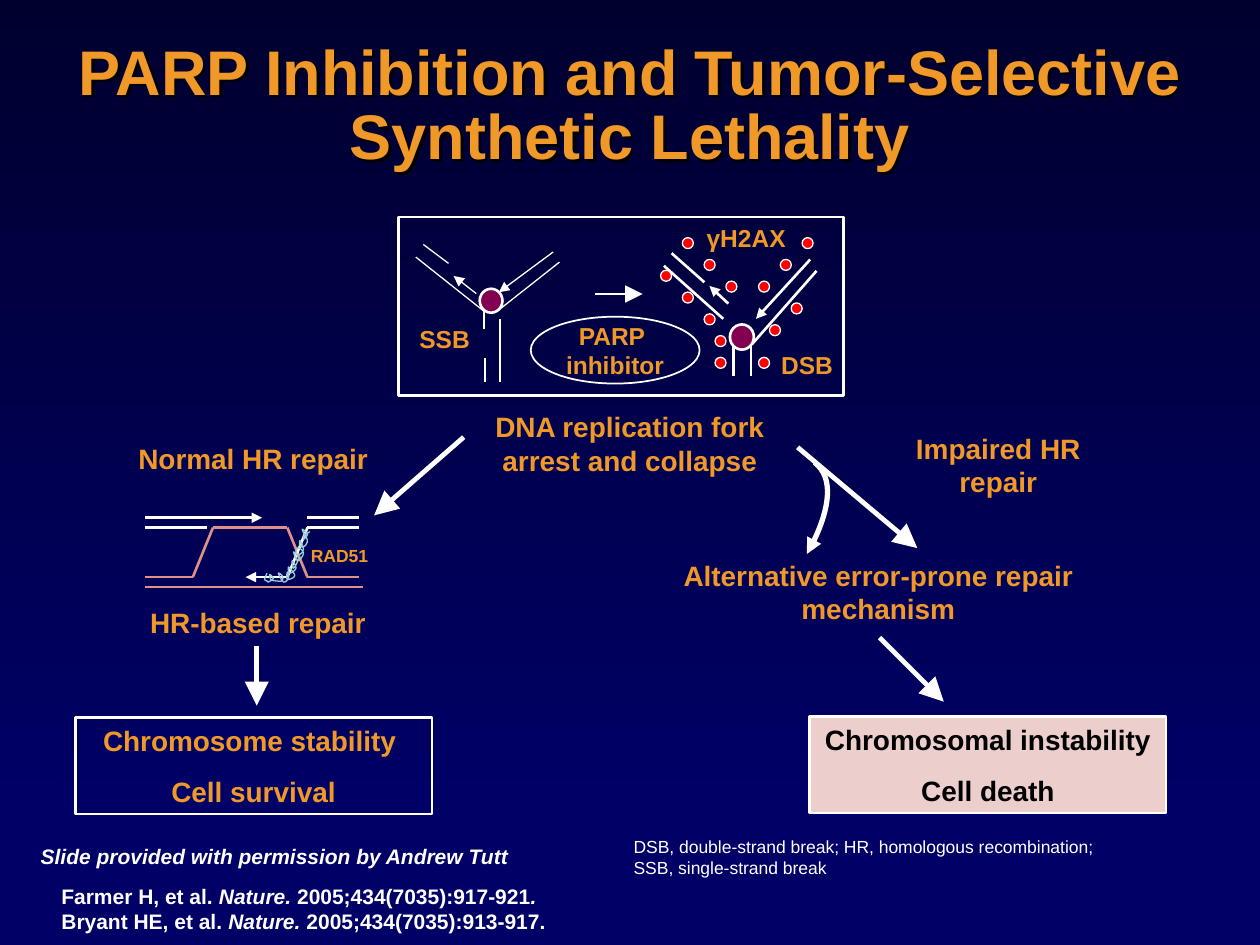
from lxml.etree import SubElement
from pptx import Presentation
from pptx.dml.color import RGBColor
from pptx.enum.shapes import MSO_CONNECTOR as Link, MSO_SHAPE as Preset
from pptx.enum.text import MSO_ANCHOR as Anchor, MSO_AUTO_SIZE as Fit, PP_ALIGN as Align
from pptx.oxml.ns import qn
from pptx.util import Pt

NIGHT = RGBColor(0x00, 0x00, 0x2F)
NAVY = RGBColor(0x00, 0x00, 0x66)
ORANGE = RGBColor(0xF0, 0x98, 0x28)
WHITE = RGBColor(0xFF, 0xFF, 0xFF)
BLACK = RGBColor(0x00, 0x00, 0x00)
PLUM = RGBColor(0x83, 0x00, 0x51)
RED = RGBColor(0xFF, 0x00, 0x00)
SALMON = RGBColor(0xDF, 0x91, 0x89)
AQUA = RGBColor(0x99, 0xD0, 0xD7)
BLUSH = RGBColor(0xEC, 0xCE, 0xCD)

TITLE = "PARP Inhibition and Tumor-Selective Synthetic Lethality"
TITLE_BOX = (26.6, 16.8, 666.7, 90)

HEADING = {"size": Pt(16), "bold": True}
FORK_LABEL = {"size": Pt(14), "bold": True}
GENE_LABEL = {"size": Pt(10), "bold": True}
FOOTNOTE = {"size": Pt(10), "bold": False}
SOURCE = {"size": Pt(12), "bold": True}
CREDIT = {"size": Pt(12), "bold": True, "italic": True}

LABELS = [
    (["DNA replication fork arrest and collapse"], (271, 230.6, 177.8, 46), HEADING, ORANGE, Align.CENTER, True),
    (["SSB"], (227.8, 181.4, 52.6, 24.5), FORK_LABEL, ORANGE, Align.CENTER, True),
    (["DSB"], (434.9, 196.2, 52.6, 24.5), FORK_LABEL, ORANGE, Align.CENTER, True),
    (["γH2AX"], (396.7, 123.8, 59.8, 24.5), FORK_LABEL, ORANGE, Align.LEFT, False),
    (["Normal HR repair"], (72, 248.8, 146.9, 26.6), HEADING, ORANGE, Align.LEFT, True),
    (["RAD51"], (170.6, 307.8, 47, 19.4), GENE_LABEL, ORANGE, Align.LEFT, False),
    (["HR-based repair"], (60.3, 342.4, 174.2, 26.6), HEADING, ORANGE, Align.CENTER, True),
    (["Impaired HR repair"], (496.6, 242.8, 147.6, 46), HEADING, ORANGE, Align.CENTER, True),
    (["Alternative error-prone repair mechanism"], (377, 315.4, 249.8, 46), HEADING, ORANGE, Align.CENTER, True),
    (["DSB, double-strand break; HR, homologous recombination;", "SSB, single-strand break"],
     (355, 474.2, 357, 28.8), FOOTNOTE, WHITE, Align.LEFT, True),
    (["Slide provided with permission by Andrew Tutt"], (14.7, 478.5, 283, 21.6), CREDIT, WHITE, Align.RIGHT, True),
    (["Farmer H, et al. *Nature. *2005;434(7035):917-921*.*", "Bryant HE, et al. *Nature. *2005;434(7035):913-917."],
     (28, 501.1, 301, 36), SOURCE, WHITE, Align.LEFT, True),
]

OUTCOMES = [
    (["Chromosome stability ", "Cell survival"], (43, 409.9, 203.8, 55.4), None, ORANGE),
    (["Chromosomal instability ", "Cell death"], (462.6, 409.3, 203.8, 55.4), BLUSH, BLACK),
]
FORK_FRAME = (227.9, 124, 254.2, 102.2)
INHIBITOR = (["PARP ", "inhibitor"], (303.3, 181, 96.5, 38.2))
POLYMERASES = [(274.1, 165, 13, 13.7), (417.1, 185.4, 13.7, 14.4)]

FOCI_ORIGIN, FOCI_STEP, FOCUS_SIZE = (377.5, 135.8), 6.22, 6.3
FOCI = [(2, 0), (4, 2), (6, 4), (9, 4), (11, 2), (0, 3), (2, 5),
        (13, 0), (4, 7), (5, 9), (10, 8), (9, 11), (5, 11), (12, 6)]

STRANDS = [
    (WHITE, 0.75, None, [
        (276.5, 187.9, 276.5, 177.8), (285.1, 177.1, 319.7, 149.8),
        (237.6, 146.9, 276.5, 177.8), (256.3, 150.5, 241.9, 139.7),
        (285.8, 218.2, 285.8, 182.2), (277.2, 218.2, 277.2, 204.5)]),
    (WHITE, 0.75, "med", [(316.1, 144, 285.1, 167), (272.2, 167.8, 259.2, 157.7)]),
    (WHITE, 1.5, None, [
        (419, 214.6, 419, 196.6), (429.1, 214.6, 429.1, 196.6),
        (429.8, 196.6, 466.6, 154.8), (379.4, 151.9, 413.3, 182.2),
        (402.5, 161.3, 383.8, 144.7)]),
    (WHITE, 1.5, "med", [(463, 148.3, 432, 182.2), (416.2, 173.5, 405.4, 163.4)]),
    (WHITE, 1.5, "lg", [(339.8, 168, 367.2, 168)]),
    (SALMON, 1.5, None, [
        (82.8, 335.5, 207.4, 335.5), (82.8, 329.8, 110.2, 329.8),
        (110.2, 329.8, 121.7, 301.5), (121.7, 301.5, 164.2, 301.5),
        (175.7, 329.8, 164.2, 301.5), (175.7, 329.8, 205.2, 329.8)]),
    (WHITE, 1.5, None, [
        (205.2, 301.5, 175.7, 301.5), (164.2, 329.8, 175.7, 301.5),
        (205.2, 295.9, 175.7, 295.9), (118.1, 301.5, 82.8, 301.5)]),
    (WHITE, 1.5, "med", [(164.2, 329.8, 140.4, 329.8), (82.8, 295.9, 149.8, 295.9)]),
    (WHITE, 2.75, "lg", [
        (265, 249.8, 213.8, 294.5), (146.7, 369.4, 146.7, 403.2),
        (502.6, 364.3, 539.3, 401), (455.8, 255.6, 524.2, 313.2)]),
]

RAD51_FILAMENT = [
    (152.6, 327.6), (151.2, 331.2), (152.6, 331.9), (153.4, 332.6), (156.2, 330.5), (154.1, 328.3),
    (154.8, 331.2), (157, 331.9), (161.3, 331.9), (161.3, 329), (159.1, 327.6), (162, 332.6),
    (164.9, 330.5), (164.2, 326.9), (164.2, 331.2), (168.5, 329), (164.9, 324), (165.6, 327.6),
    (169.2, 324.7), (167, 320.4), (167.8, 324.7), (170.6, 319), (167.8, 315.4), (169.9, 320.4),
    (172.1, 319), (173.5, 316.1), (172.1, 313.9), (169.9, 313.2), (169.2, 316.1), (171.4, 316.8),
    (173.5, 313.9), (171.4, 308.9), (171.4, 311.8), (173.5, 312.5), (175.7, 309.6), (174.2, 305.3),
    (173.5, 308.2), (175.7, 305.3), (172.8, 302.4), (174.2, 305.3), (177.1, 303.8)]
BYPASS_START = (486.7, 278.6)
BYPASS_BENDS = [((461.8, 279.2), (441.3, 288.5), (439.9, 302.3))]
BYPASS_TURN = 121.8


def points(values):
    return [Pt(value) for value in values]


def smooth(anchors):
    padded = [anchors[0], *anchors, anchors[-1]]
    return [
        (tuple(q + (r - p) / 6 for p, q, r in zip(a, b, c)),
         tuple(r - (s - q) / 6 for q, r, s in zip(b, c, d)), c)
        for a, b, c, d in zip(padded, padded[1:], padded[2:], padded[3:])]


def write(frame, paragraphs, style, color, align, wrap=True, gap=0):
    frame.word_wrap = wrap
    for index, content in enumerate(paragraphs):
        paragraph = frame.paragraphs[0] if index == 0 else frame.add_paragraph()
        paragraph.alignment = align
        if index and gap:
            paragraph.space_before = Pt(gap)
        for position, piece in enumerate(content.split("*")):
            if not piece:
                continue
            run = paragraph.add_run()
            run.text = piece
            run.font.color.rgb = color
            font_format = {"name": "Arial", "italic": position % 2 == 1, **style}
            for key, value in font_format.items():
                setattr(run.font, key, value)


def stroke(line, color, width, arrow=None, end="a:tailEnd"):
    line.color.rgb = color
    line.width = Pt(width)
    if arrow:
        SubElement(line._get_or_add_ln(), qn(end), type="triangle", w=arrow, len=arrow)


def add_preset(shapes, preset, box, fill, width):
    shape = shapes.add_shape(preset, *points(box))
    shape.shadow.inherit = False
    if fill is None:
        shape.fill.background()
    else:
        shape.fill.solid()
        shape.fill.fore_color.rgb = fill
    stroke(shape.line, WHITE, width)
    return shape


def add_curve(shapes, start, bends, color, width, arrow=None):
    builder = shapes.build_freeform(*points(start))
    builder.add_line_segments([points(bend[-1]) for bend in bends], close=False)
    curve = builder.convert_to_shape()
    outline = next(curve._element.iter(qn("a:path")))
    for straight in outline.findall(qn("a:lnTo")):
        outline.remove(straight)
    for bend in bends:
        arc = SubElement(outline, qn("a:cubicBezTo"))
        for x, y in map(points, bend):
            SubElement(arc, qn("a:pt"), x=str(x - curve.left), y=str(y - curve.top))
    curve.shadow.inherit = False
    curve.fill.background()
    stroke(curve.line, color, width, arrow, "a:headEnd")
    return curve


def add_backdrop(slide):
    slide.background.fill.solid()
    slide.background.fill.fore_color.rgb = NAVY
    backdrop = slide.shapes.add_shape(Preset.RECTANGLE, *points((0, 0, 720, 462.2)))
    backdrop.shadow.inherit = False
    backdrop.line.fill.background()
    backdrop.fill.gradient()
    backdrop.fill.gradient_angle = 270
    for stop, color, place in zip(backdrop.fill.gradient_stops, (NIGHT, NAVY), (0, 1)):
        stop.color.rgb = color
        stop.position = place


def add_title(shapes):
    title = shapes.add_textbox(*points(TITLE_BOX))
    frame = title.text_frame
    write(frame, [TITLE], {"size": Pt(36), "bold": True}, ORANGE, Align.CENTER)
    frame.vertical_anchor = Anchor.MIDDLE
    frame.paragraphs[0].line_spacing = 0.85
    effects = SubElement(title._element.spPr, qn("a:effectLst"))
    shadow = SubElement(effects, qn("a:outerShdw"), dist=str(Pt(2)), dir="2700000")
    SubElement(shadow, qn("a:srgbClr"), val=str(BLACK))


def main():
    deck = Presentation()
    deck.slide_width, deck.slide_height = Pt(720), Pt(540)
    slide = deck.slides.add_slide(deck.slide_layouts[6])
    shapes = slide.shapes
    add_backdrop(slide)
    add_preset(shapes, Preset.RECTANGLE, FORK_FRAME, None, 1.5)
    for color, width, arrow, lines in STRANDS:
        for ends in lines:
            strand = shapes.add_connector(Link.STRAIGHT, *points(ends))
            stroke(strand.line, color, width, arrow)
            SubElement(strand._element.spPr, qn("a:effectLst"))
    for box in POLYMERASES:
        add_preset(shapes, Preset.OVAL, box, PLUM, 1.5)
    for cell in FOCI:
        corner = [start + FOCI_STEP * count for start, count in zip(FOCI_ORIGIN, cell)]
        add_preset(shapes, Preset.OVAL, (*corner, FOCUS_SIZE, FOCUS_SIZE), RED, 0.75)
    add_curve(shapes, RAD51_FILAMENT[0], smooth(RAD51_FILAMENT), AQUA, 0.75)
    add_curve(shapes, BYPASS_START, BYPASS_BENDS, WHITE, 3, "med").rotation = BYPASS_TURN
    for paragraphs, box, fill, color in OUTCOMES:
        frame = add_preset(shapes, Preset.RECTANGLE, box, fill, 1.5).text_frame
        frame.vertical_anchor = Anchor.TOP
        write(frame, paragraphs, HEADING, color, Align.CENTER, gap=10)
    inhibitor, box = INHIBITOR
    frame = add_preset(shapes, Preset.OVAL, box, None, 1).text_frame
    frame.vertical_anchor = Anchor.MIDDLE
    write(frame, inhibitor, FORK_LABEL, ORANGE, Align.CENTER, False)
    for paragraphs, box, style, color, align, wrap in LABELS:
        frame = shapes.add_textbox(*points(box)).text_frame
        write(frame, paragraphs, style, color, align, wrap)
        frame.auto_size = Fit.SHAPE_TO_FIT_TEXT
    add_title(shapes)
    deck.save("out.pptx")


if __name__ == "__main__":
    main()
